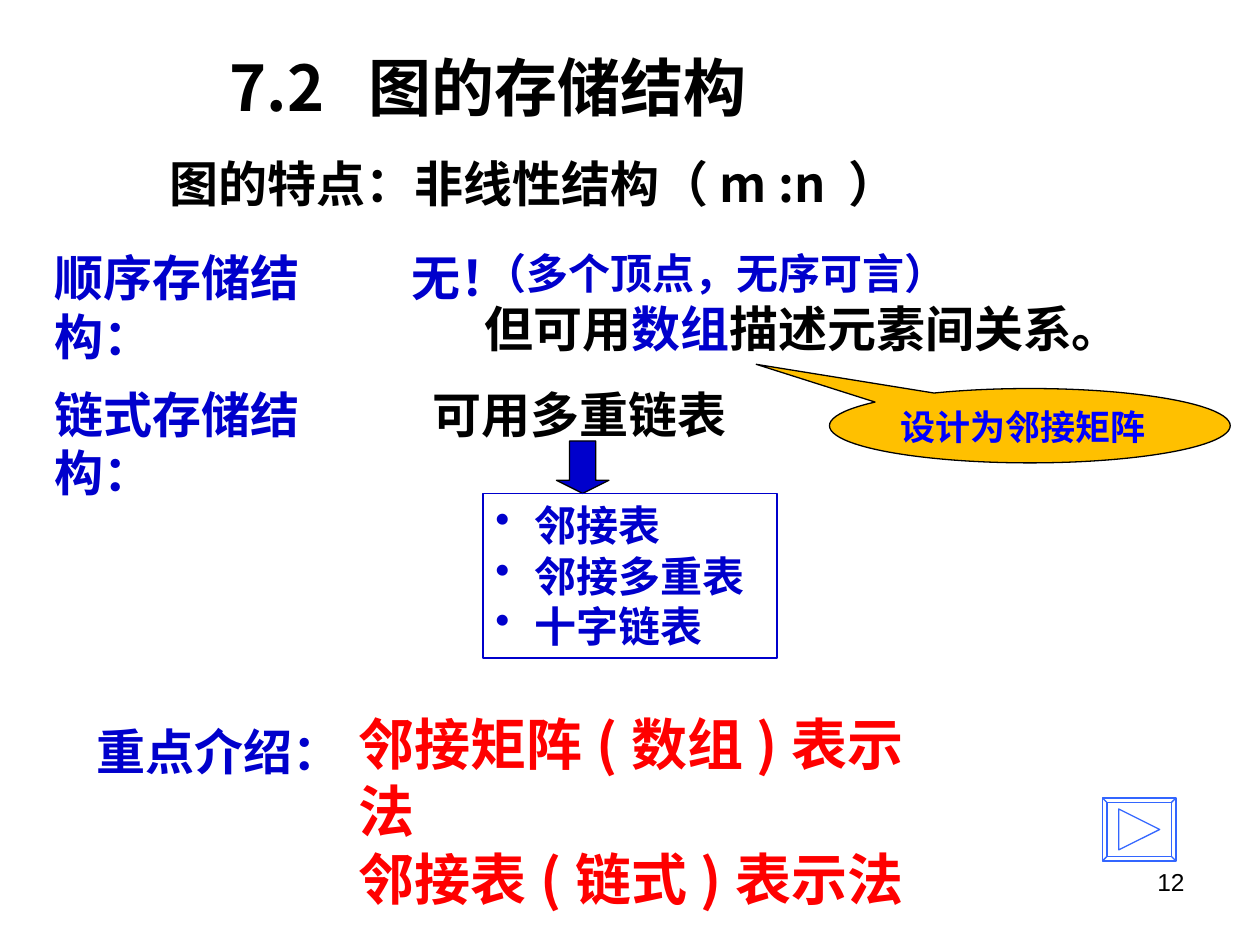
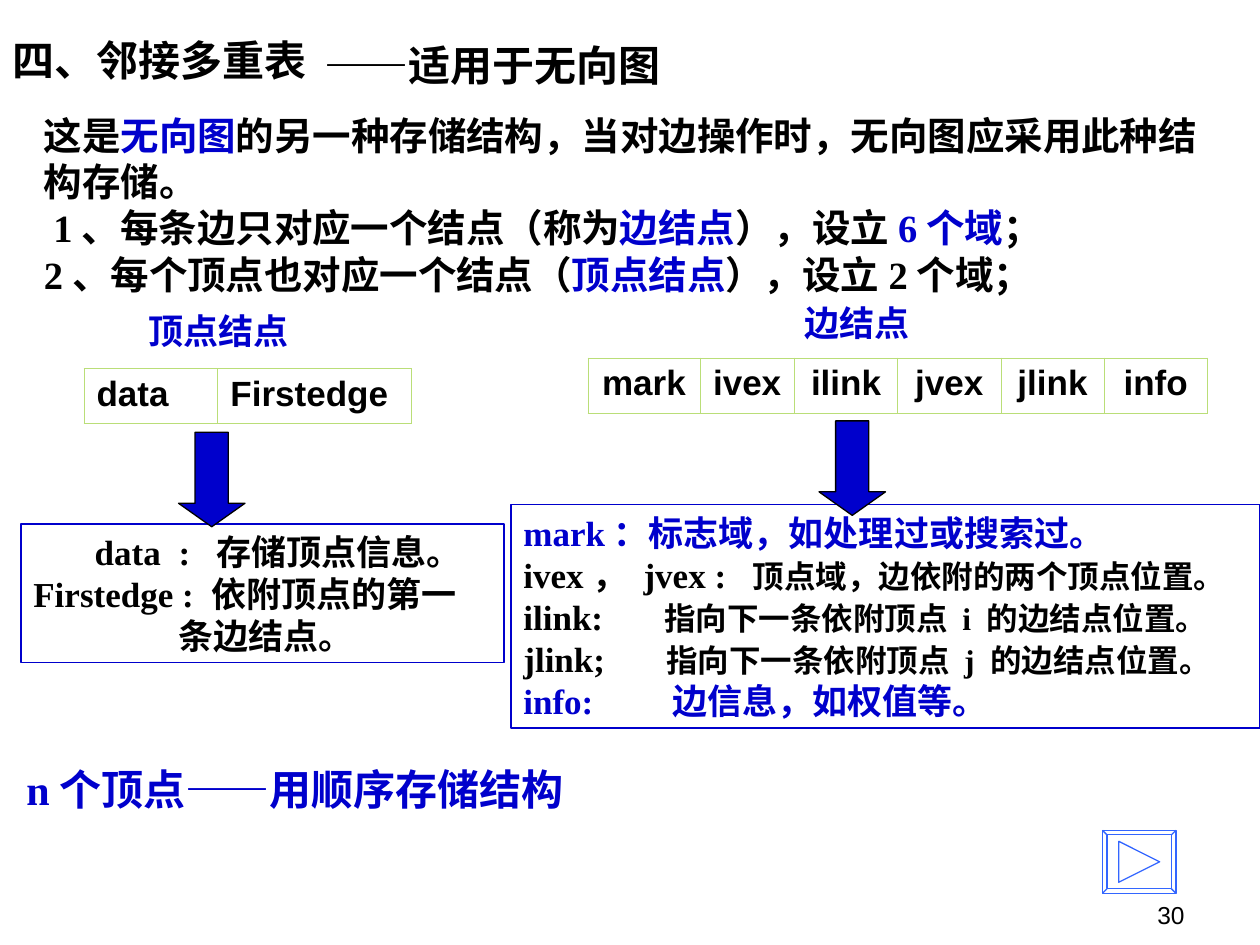
from dataclasses import dataclass

from lxml import etree
from pptx import Presentation
from pptx.dml.color import RGBColor
from pptx.enum.shapes import MSO_SHAPE
from pptx.enum.text import MSO_ANCHOR, PP_ALIGN
from pptx.oxml.ns import qn
from pptx.util import Pt

RECT, DOWN_ARROW = MSO_SHAPE.RECTANGLE, MSO_SHAPE.DOWN_ARROW
CALLOUT = MSO_SHAPE.OVAL_CALLOUT
LEFT, CENTER, RIGHT = PP_ALIGN.LEFT, PP_ALIGN.CENTER, PP_ALIGN.RIGHT
TOP, MIDDLE = MSO_ANCHOR.TOP, MSO_ANCHOR.MIDDLE


@dataclass(frozen=True)
class Theme:
    black: str = "000000"
    blue: str = "0000CC"
    bright_blue: str = "0000FF"
    red: str = "FF0000"
    orange: str = "FFC000"
    button: str = "3366FF"
    grid: str = "BADE78"
    sans: str = "Noto Sans CJK SC"
    serif: str = "Times New Roman"
    arial: str = "Arial"
    title: int = 36
    key: int = 32
    topic: int = 28
    sub: int = 24
    body: int = 22
    label: int = 20
    detail: int = 18
    number: int = 14
    thin: float = 0.75
    hair: float = 0.45


T = Theme()


def write(frame, lines, size, color=T.black, font=T.sans, align=LEFT, bold=True):
    """Fill a frame; a line is a string or a list of (text, color, size, font) runs."""
    for i, line in enumerate(lines):
        paragraph = frame.paragraphs[0] if i == 0 else frame.add_paragraph()
        paragraph.alignment = align
        paragraph._p.get_or_add_pPr().set("hangingPunct", "0")
        for part in [(line,)] if isinstance(line, str) else line:
            text, *own = part
            run_color, run_size, run_font = own + [color, size, font][len(own):]
            run = paragraph.add_run()
            run.text = text
            run.font.size, run.font.bold = Pt(run_size), bold
            run.font.color.rgb = RGBColor.from_string(run_color)
            run.font.name = run_font
            etree.SubElement(run.font._element, qn("a:ea"), typeface=T.sans)


def place(slide, box, kind=None, fill=None, line=None, wrap=True, anchor=TOP):
    """Add a text box, or a preset shape when kind is given."""
    box = [Pt(v) for v in box]
    if kind is None:
        shape = slide.shapes.add_textbox(*box)
    else:
        shape = slide.shapes.add_shape(kind, *box)
        shape.shadow.inherit = False
        shape.line.color.rgb = RGBColor.from_string(line)
        shape.line.width = Pt(T.thin)
        if fill:
            shape.fill.solid()
            shape.fill.fore_color.rgb = RGBColor.from_string(fill)
        else:
            shape.fill.background()
    shape.text_frame.word_wrap = wrap
    shape.text_frame.vertical_anchor = anchor
    return shape


prs = Presentation()
prs.slide_width, prs.slide_height = Pt(720), Pt(540)
storage, multilist = [prs.slides.add_slide(prs.slide_layouts[6]) for _ in range(2)]

# Page number and forward button on both slides
for slide, number, top in ((storage, "12", 456), (multilist, "30", 474.5)):
    page = place(slide, (516, top + 36, 168, 37))
    write(page.text_frame, [number], T.number, font=T.arial, align=RIGHT, bold=False)

    left, right, bottom, bevel = 630, 672, top + 36, 2.6
    outer = [(left, top), (right, top), (right, bottom), (left, bottom)]
    inner = [(left + bevel, top + bevel), (right - bevel, top + bevel),
             (right - bevel, bottom - bevel), (left + bevel, bottom - bevel)]
    triangle = [(639.3, top + 6.3), (662.7, top + 18), (639.3, top + 29.7)]
    button = slide.shapes.build_freeform(Pt(left), Pt(top))
    for outline in (outer, inner, triangle):
        points = [(Pt(x), Pt(y)) for x, y in outline]
        button.move_to(*points[0])
        button.add_line_segments(points[1:], close=True)
    for corner, inset in zip(outer, inner):
        button.move_to(*[Pt(v) for v in corner])
        button.add_line_segments([[Pt(v) for v in inset]], close=False)
    button = button.convert_to_shape()
    button.shadow.inherit = False
    button.fill.background()
    button.line.color.rgb = RGBColor.from_string(T.button)
    button.line.width = Pt(T.thin)

# Slide 1: title, with the gap after the section number made by a tab
heading = place(storage, (124, 25, 414, 49), anchor=MIDDLE)
write(heading.text_frame, ["7.2\t图的存储结构"], T.title)
heading_tabs = [(heading.text_frame.paragraphs[0], [79.5])]

# Slide 1: storage structures and what each one offers
for box, lines, size, color, font, wrap in (
    ((90, 84, 450, 42), ["图的特点：非线性结构（m :n ）"], T.topic, T.black, T.sans, True),
    ((24, 138, 198, 41), ["顺序存储结构："], T.topic, T.blue, T.sans, True),
    ((228, 138, 72, 41), ["无！"], T.topic, T.blue, T.serif, False),
    ((270, 138, 396, 70),
     [[("（多个顶点，无序可言）", T.blue, T.sub)],
      [("但可用",), ("数组", T.blue, T.topic, T.serif), ("描述元素间关系。",)]],
     T.topic, T.black, T.sans, True),
    ((24, 216, 198, 41), ["链式存储结构："], T.topic, T.blue, T.sans, True),
    ((240, 216, 204, 41), ["可用多重链表"], T.topic, T.black, T.sans, True),
    ((48, 409, 156, 41), ["重点介绍："], T.topic, T.blue, T.sans, False),
    ((198, 402, 354, 122), ["邻接矩阵(数组)表示法", "邻接表(链式)表示法"],
     T.key, T.red, T.sans, True),
):
    write(place(storage, box, wrap=wrap).text_frame, lines, size, color, font)

# Slide 1: callout for the array form
matrix_note = place(storage, (474, 222, 229, 42.5), CALLOUT, T.orange, T.black)
matrix_note.adjustments[0], matrix_note.adjustments[1] = -0.683, -0.826
write(matrix_note.text_frame, ["设计为邻接矩阵"], T.label, T.bright_blue)

# Slide 1: bulleted kinds of linked list
place(storage, (318, 252, 30, 30), DOWN_ARROW, T.blue, T.black).adjustments[1] = 0.25
list_kinds = place(storage, (276, 282, 168, 94), RECT, line=T.blue)
write(list_kinds.text_frame, ["邻接表", "邻接多重表", "十字链表"], T.sub, T.blue, T.serif)
for paragraph in list_kinds.text_frame.paragraphs:
    props = paragraph._p.get_or_add_pPr()
    props.set("marL", str(Pt(22.5)))
    props.set("indent", str(-Pt(22.5)))
    bullet_color = etree.SubElement(props, qn("a:buClr"))
    etree.SubElement(bullet_color, qn("a:srgbClr"), val=T.blue)
    etree.SubElement(props, qn("a:buChar"), char="•")

# Slide 2: title, introduction, labels and closing line
for box, lines, size, color, font, align, wrap, anchor in (
    ((0, 19, 318, 30), ["四、邻接多重表"], T.sub, T.black, T.arial, LEFT, True, MIDDLE),
    ((178.5, 19, 210, 36), ["——适用于无向图"], T.sub, T.black, T.serif, LEFT, False, TOP),
    ((18, 60.5, 684, 113),
     [[("这是",), ("无向图", T.blue),
       ("的另一种存储结构，当对边操作时，无向图应采用此种结构存储。",)],
      [("1、每条边只对应一个结点（称为",), ("边结点", T.blue), ("），设立",),
       ("6个域", T.blue), ("；",)],
      [("2、每个顶点也对应一个结点（",), ("顶点结点", T.blue), ("），设立2个域；",)]],
     T.body, T.black, T.serif, LEFT, True, TOP),
    ((76, 173.5, 98, 32), ["顶点结点"], T.label, T.blue, T.serif, CENTER, False, TOP),
    ((451, 168.5, 78, 32), ["边结点"], T.label, T.blue, T.serif, CENTER, False, TOP),
    ((8, 433, 322, 36), ["n个顶点——用顺序存储结构"],
     T.sub, T.blue, T.serif, LEFT, True, TOP),
):
    part = place(multilist, box, wrap=wrap, anchor=anchor)
    write(part.text_frame, lines, size, color, font, align)
    if len(lines) == 3:
        part.text_frame.paragraphs[1]._p.get_or_add_pPr().set("indent", str(Pt(5.5)))

# Slide 2: field tables of the vertex node and the edge node
for left, top, height, widths, fields, align in (
    (48, 210.5, 31.3, (76.5, 110.5), ("data", "Firstedge"), LEFT),
    (336, 204.5, 32, (64, 54, 59, 59, 59, 59),
     ("mark", "ivex", "ilink", "jvex", "jlink", "info"), CENTER),
):
    node = multilist.shapes.add_table(
        1, len(fields), Pt(left), Pt(top), Pt(sum(widths)), Pt(height)).table
    node.first_row = node.horz_banding = False
    node.rows[0].height = Pt(height)
    for i, (field, width) in enumerate(zip(fields, widths)):
        node.columns[i].width = Pt(width)
        cell = node.cell(0, i)
        cell.fill.background()
        write(cell.text_frame, [field], T.label, font=T.arial, align=align)
        for position, side in enumerate(("lnL", "lnR", "lnT", "lnB")):
            edge = etree.Element(qn("a:" + side), w=str(Pt(T.hair)))
            paint = etree.SubElement(edge, qn("a:solidFill"))
            etree.SubElement(paint, qn("a:srgbClr"), val=T.grid)
            cell._tc.get_or_add_tcPr().insert(position, edge)

# Slide 2: explanation of the fields
vertex_fields = place(multilist, (12, 299.5, 276, 79), RECT, line=T.blue)
write(vertex_fields.text_frame,
      ["\tdata\t:\t存储顶点信息。", "Firstedge : 依附顶点的第一条边结点。"],
      T.label, font=T.serif)
edge_fields = place(multilist, (292, 288.5, 428, 127.5), RECT, line=T.blue)
write(edge_fields.text_frame,
      [[("mark：标志域，如处理过或搜索过。", T.blue)],
       [("ivex， jvex :\t",), ("顶点域，边依附的两个顶点位置。", T.black, T.detail)],
       [("ilink:\t",), ("指向下一条依附顶点 i 的边结点位置。", T.black, T.detail)],
       [("jlink;\t",), ("指向下一条依附顶点 j 的边结点位置。", T.black, T.detail)],
       [("info:\t边信息，如权值等。", T.blue)]],
      T.label, font=T.serif)
first_edge = vertex_fields.text_frame.paragraphs[1]._p.get_or_add_pPr()
first_edge.set("marL", str(Pt(83)))
first_edge.set("indent", str(-Pt(83)))

# Tab stops that line up the explanations
vertex_tabs = [(vertex_fields.text_frame.paragraphs[0], [35, 83, 104.5])]
edge_tabs = zip(edge_fields.text_frame.paragraphs[1:], ([131], [80.5], [81.5], [85]))
for paragraph, stops in [*heading_tabs, *vertex_tabs, *edge_tabs]:
    tabs = etree.SubElement(paragraph._p.get_or_add_pPr(), qn("a:tabLst"))
    for stop in stops:
        etree.SubElement(tabs, qn("a:tab"), pos=str(Pt(stop)), algn="l")

# Slide 2: arrows from the tables to the explanations
for left, top in ((102, 247), (468, 240.5)):
    arrow = place(multilist, (left, top, 38, 54), DOWN_ARROW, T.blue, T.black)
    arrow.adjustments[1] = 0.353

prs.save("out.pptx")
